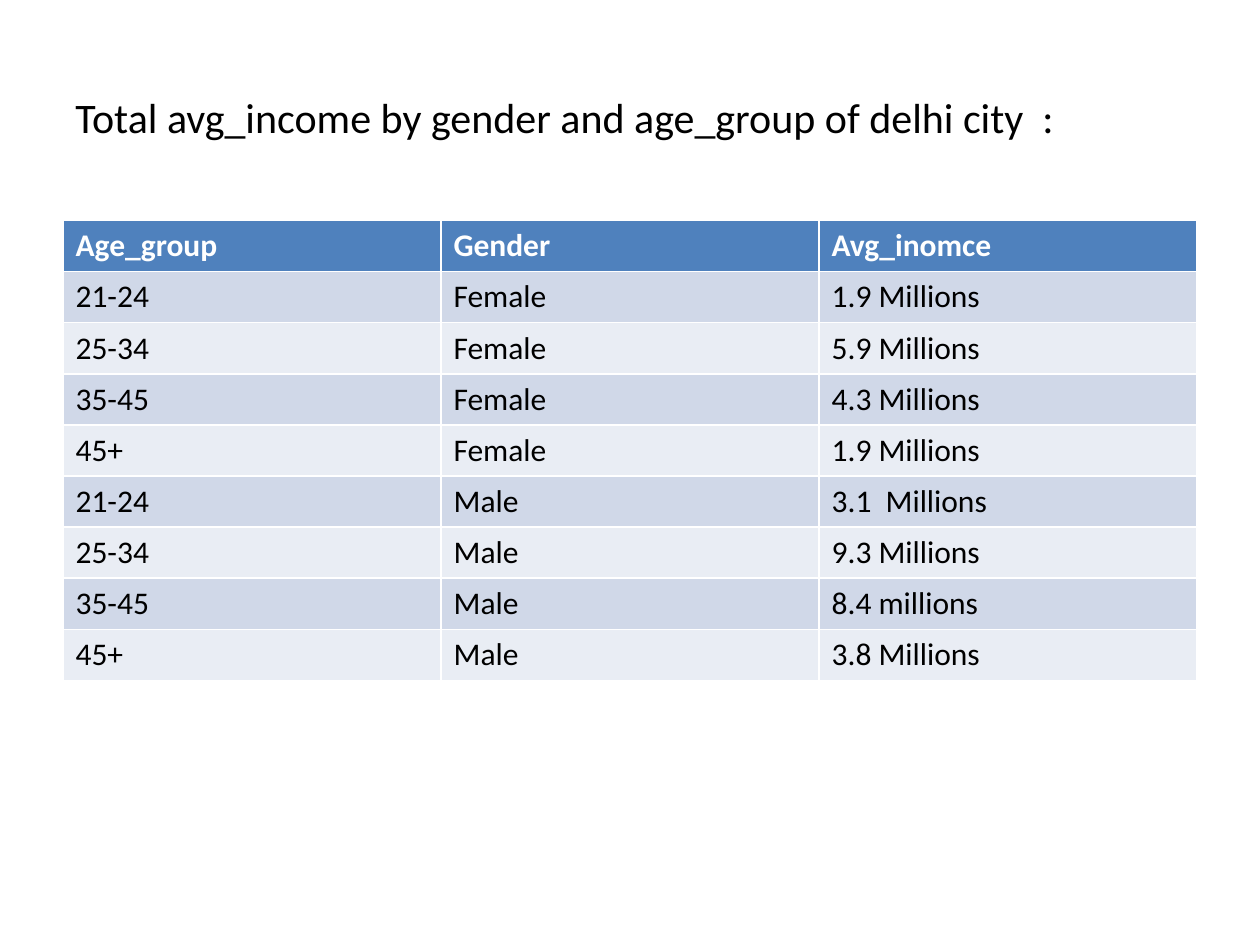
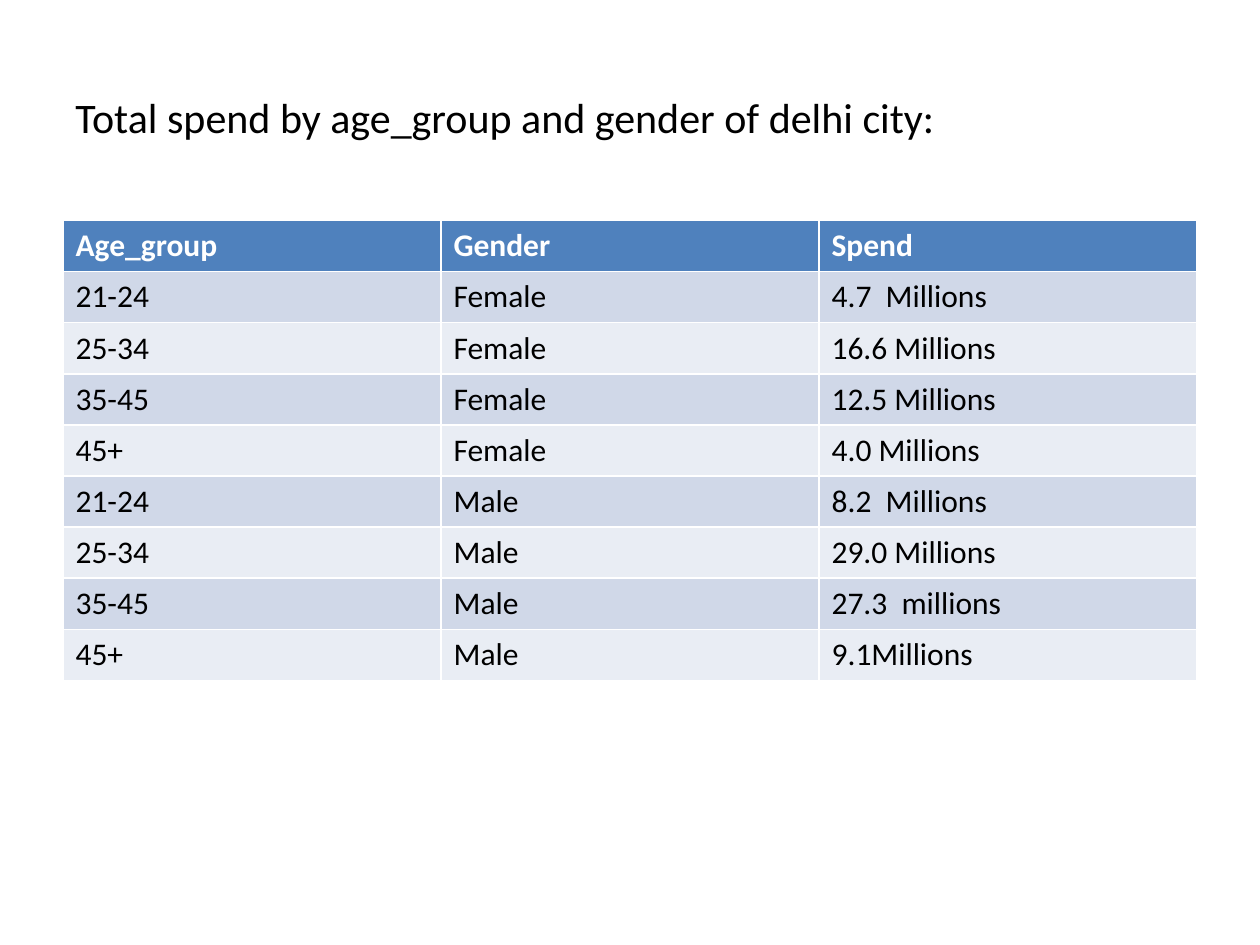
"""Build two slides of Delhi income and spend by age group and gender."""
from itertools import product

from pptx import Presentation
from pptx.dml.color import RGBColor
from pptx.enum.text import MSO_ANCHOR
from pptx.util import Inches, Pt

AGE_GROUPS = ["21-24", "25-34", "35-45", "45+"]
GENDERS = ["Female", "Male"]
SLIDES = [
    {
        "title": "Total avg_income by gender and age_group of delhi city  :",
        "title_width": 9,
        "measure": "Avg_inomce",
        "values": ["1.9 Millions", "5.9 Millions", "4.3 Millions", "1.9 Millions",
                   "3.1  Millions", "9.3 Millions", "8.4 millions", "3.8 Millions"],
    },
    {
        "title": "Total spend by age_group and gender of delhi city:",
        "title_width": 7.83,
        "measure": "Spend",
        "values": ["4.7  Millions", "16.6 Millions", "12.5 Millions", "4.0 Millions",
                   "8.2  Millions", "29.0 Millions", "27.3  millions", "9.1Millions"],
    },
]

FONT = "Calibri"
BLACK = RGBColor(0x00, 0x00, 0x00)
WHITE = RGBColor(0xFF, 0xFF, 0xFF)
HEADER_BLUE = RGBColor(0x4F, 0x81, 0xBD)
BANDS = [RGBColor(0xE9, 0xED, 0xF4), RGBColor(0xD0, 0xD8, 0xE8)]
LEFT = Inches(0.5)


def style_text(frame, size, color, bold=False):
    for para in frame.paragraphs:
        for span in para.runs:
            span.font.name = FONT
            span.font.size = Pt(size)
            span.font.bold = bold
            span.font.color.rgb = color


def add_title(page, text, width):
    box = page.shapes.add_textbox(LEFT, Inches(0.3), Inches(width), Inches(1.25))
    frame = box.text_frame
    frame.word_wrap = True
    frame.vertical_anchor = MSO_ANCHOR.MIDDLE
    frame.text = text
    style_text(frame, 24, BLACK)


def add_data_table(page, rows):
    table = page.shapes.add_table(len(rows), len(rows[0]), LEFT, Inches(1.75),
                                  Inches(9), Inches(3.65)).table
    for row_index, row in enumerate(rows):
        is_header = row_index == 0
        for column_index, text in enumerate(row):
            cell = table.cell(row_index, column_index)
            cell.text = text
            cell.fill.solid()
            cell.fill.fore_color.rgb = HEADER_BLUE if is_header else BANDS[row_index % 2]
            style_text(cell.text_frame, 18, WHITE if is_header else BLACK, is_header)


def main():
    deck = Presentation()
    deck.slide_width, deck.slide_height = Inches(10), Inches(7.5)
    groups = list(product(GENDERS, AGE_GROUPS))
    for content in SLIDES:
        page = deck.slides.add_slide(deck.slide_layouts[6])
        add_title(page, content["title"], content["title_width"])
        rows = [("Age_group", "Gender", content["measure"])]
        rows += [(age, gender, value)
                 for (gender, age), value in zip(groups, content["values"])]
        add_data_table(page, rows)
    deck.save("out.pptx")


if __name__ == "__main__":
    main()
